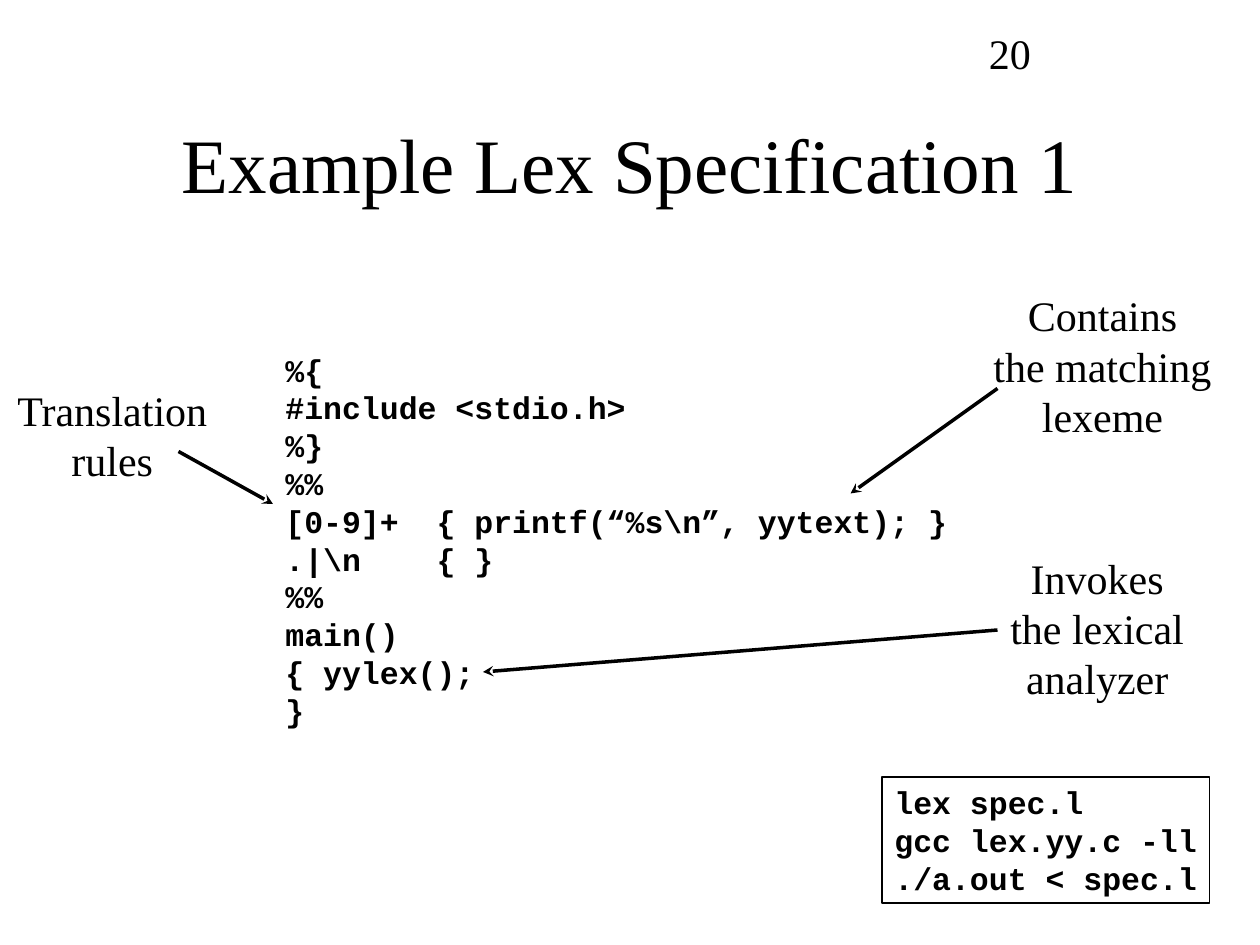
from lxml.etree import SubElement
from pptx import Presentation
from pptx.dml.color import RGBColor
from pptx.enum.shapes import MSO_CONNECTOR, MSO_SHAPE
from pptx.enum.text import MSO_ANCHOR, MSO_AUTO_SIZE, PP_ALIGN
from pptx.oxml.ns import qn
from pptx.util import Inches, Pt

COLUMNS, ROWS = 120, 90
WIDTH, HEIGHT = Inches(10), Inches(7.5)
BLACK = "000000"
TITLE = {"name": "Times New Roman", "size": Pt(44), "bold": False}
LABEL = {"name": "Times New Roman", "size": Pt(24), "bold": False}
CODE = {"name": "Courier New", "size": Pt(18), "bold": True}
FITTED = {"word_wrap": False, "auto_size": MSO_AUTO_SIZE.SHAPE_TO_FIT_TEXT}
WRAPPED = {"word_wrap": True, "auto_size": MSO_AUTO_SIZE.NONE}

LEX_SOURCE = [
    "%{",
    "#include <stdio.h>",
    "%}",
    "%%",
    r"[0-9]+  { printf(“%s\n”, yytext); }",
    r".|\n    { }" + "\n%%",
    "main()",
    "{ yylex();",
    "}",
]
COMMANDS = ["lex spec.l\ngcc lex.yy.c -ll\n./a.out < spec.l"]
CALLOUTS = [
    ("Contains\nthe matching\nlexeme", (93.4, 27, 23.2, 15.6)),
    ("Invokes\nthe lexical\nanalyzer", (95, 52, 19, 15.6)),
    ("Translation\nrules", (0.4, 36, 20.6, 10.8)),
]
ARROWS = [
    ((95, 60), (46, 64)),
    ((95, 37), (81, 47)),
    ((17, 43), (26, 48)),
]


def color(value):
    """Turn a hex string into a colour."""
    return RGBColor.from_string(value)


def apply(target, values):
    """Set every attribute of target that values names."""
    for name, value in values.items():
        setattr(target, name, value)


def place(column, row):
    """Turn a grid point or extent into slide lengths."""
    return round(WIDTH * column / COLUMNS), round(HEIGHT * row / ROWS)


def area(left, top, width, height):
    """Turn a grid rectangle into slide lengths."""
    return *place(left, top), *place(width, height)


def write(shape, lines, font, align=PP_ALIGN.LEFT, frame=FITTED, anchor=MSO_ANCHOR.TOP):
    """Fill a shape with one paragraph for each line."""
    text_frame = shape.text_frame
    apply(text_frame, frame | {"vertical_anchor": anchor})
    for index, line in enumerate(lines):
        paragraph = text_frame.add_paragraph() if index else text_frame.paragraphs[0]
        paragraph.text = line
        paragraph.alignment = align
        for run in paragraph.runs:
            apply(run.font, font)
            run.font.color.rgb = color(BLACK)


def add_text(slide, bounds, lines, font, **layout):
    """Add a text box on the grid."""
    write(slide.shapes.add_textbox(*area(*bounds)), lines, font, **layout)


def add_outlined_code(slide, bounds, lines):
    """Add a thinly outlined box of code."""
    shape = slide.shapes.add_shape(MSO_SHAPE.RECTANGLE, *area(*bounds))
    shape.shadow.inherit = False
    shape.fill.background()
    shape.line.color.rgb = color(BLACK)
    shape.line.width = Pt(0.75)
    write(shape, lines, CODE)


def add_arrow(slide, start, end):
    """Add a straight line with a stealth head at its end."""
    connector = slide.shapes.add_connector(
        MSO_CONNECTOR.STRAIGHT, *place(*start), *place(*end)
    )
    connector.line.color.rgb = color(BLACK)
    connector.line.width = Pt(2)
    SubElement(connector.line._get_or_add_ln(), qn("a:tailEnd"), type="stealth")
    SubElement(connector._element.spPr, qn("a:effectLst"))


def main():
    """Build and save the slide."""
    presentation = Presentation()
    apply(presentation, {"slide_width": WIDTH, "slide_height": HEIGHT})
    slide = presentation.slides.add_slide(presentation.slide_layouts[6])
    add_text(slide, (9, 8, 102, 15), ["Example Lex Specification 1"], TITLE,
             align=PP_ALIGN.CENTER, frame=WRAPPED, anchor=MSO_ANCHOR.MIDDLE)
    add_text(slide, (26, 32.8, 65.4, 37.2), LEX_SOURCE, CODE)
    for text, bounds in CALLOUTS:
        add_text(slide, bounds, [text], LABEL, align=PP_ALIGN.CENTER)
    for start, end in ARROWS:
        add_arrow(slide, start, end)
    add_outlined_code(slide, (84, 74, 31.2, 12), COMMANDS)
    add_text(slide, (93, 2, 25, 6), ["20"], LABEL, frame=WRAPPED)
    presentation.save("out.pptx")


if __name__ == "__main__":
    main()
